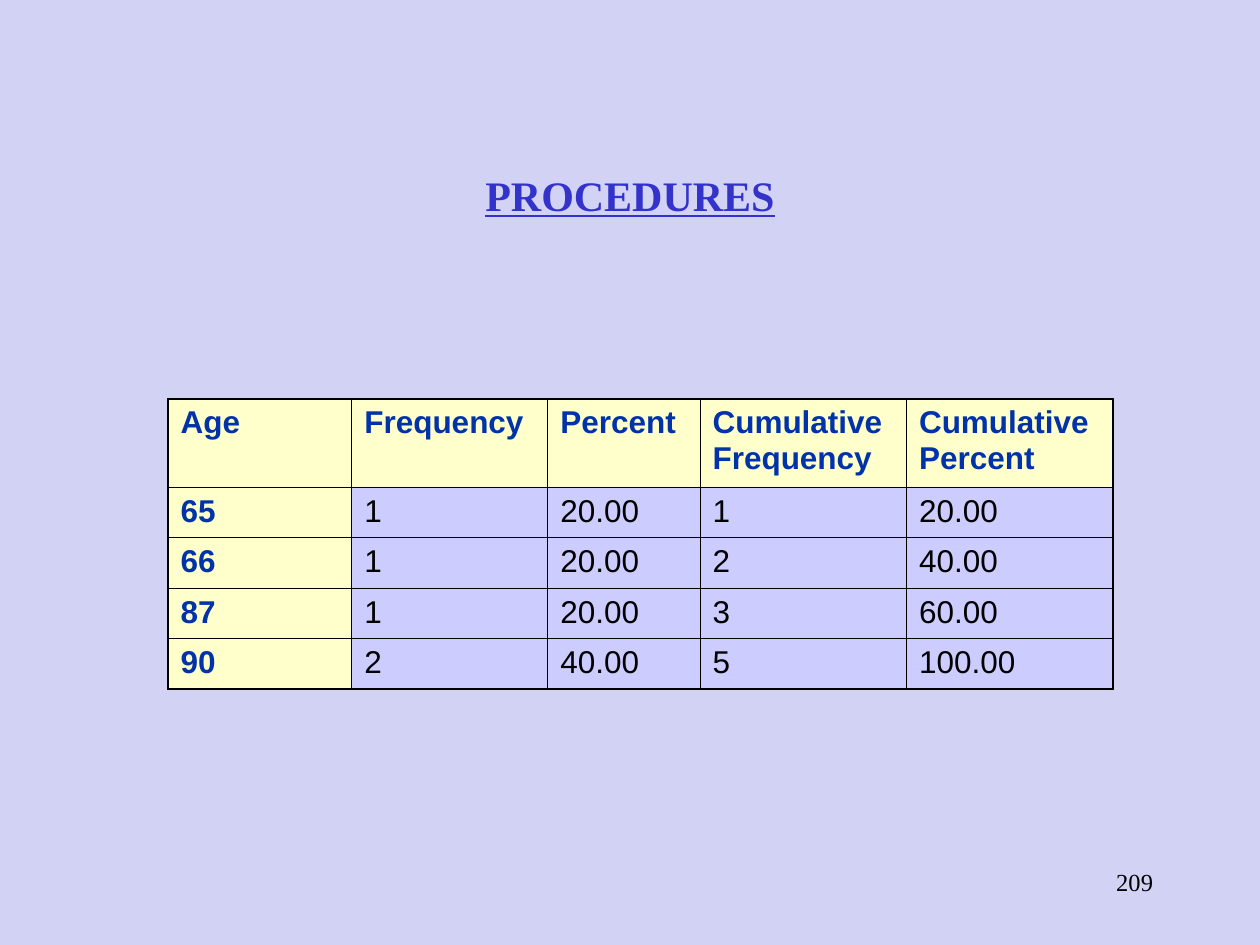
from dataclasses import dataclass

from lxml.etree import SubElement
from pptx import Presentation
from pptx.dml.color import RGBColor
from pptx.enum.text import MSO_ANCHOR, PP_ALIGN
from pptx.oxml.ns import qn
from pptx.util import Pt


@dataclass(frozen=True)
class Theme:
    """Colours, fonts and sizes of the slide."""
    back: str = "D2D2F4"
    title: str = "3333CC"
    head: str = "0033A9"
    ink: str = "000000"
    cream: str = "FFFFCC"
    lilac: str = "CCCCFF"
    serif: str = "Times New Roman"
    sans: str = "Arial"
    big: int = 24
    body: int = 18
    small: int = 14
    thick: float = 1.08
    thin: float = 0.45


THEME = Theme()
WIDTHS = (105, 112, 87, 118, 118)
HEIGHTS = (50.4, 28.8, 28.8, 28.8, 28.8)
ROWS = (
    ("Age", "Frequency", "Percent", "Cumulative\vFrequency", "Cumulative\vPercent"),
    ("65", "1", "20.00", "1", "20.00"),
    ("66", "1", "20.00", "2", "40.00"),
    ("87", "1", "20.00", "3", "60.00"),
    ("90", "2", "40.00", "5", "100.00"),
)


def style(para, face, size, color, bold=False):
    """Set the font of a whole paragraph."""
    font = para.font
    font.name, font.size, font.bold = face, Pt(size), bold
    font.color.rgb = RGBColor.from_string(color)


def add_text(slide, box, text, align, anchor):
    """Add a one-line text box and return its paragraph."""
    frame = slide.shapes.add_textbox(*map(Pt, box)).text_frame
    frame.word_wrap = True
    frame.vertical_anchor = anchor
    para = frame.paragraphs[0]
    para.text, para.alignment = text, align
    return para


def add_title(slide, box):
    """Add the underlined heading."""
    para = add_text(slide, box, "PROCEDURES", PP_ALIGN.CENTER, MSO_ANCHOR.MIDDLE)
    style(para, THEME.serif, THEME.big, THEME.title, True)
    para.font.underline = True


def add_number(slide, box):
    """Add the page number."""
    para = add_text(slide, box, "209", PP_ALIGN.RIGHT, MSO_ANCHOR.TOP)
    style(para, THEME.serif, THEME.small, THEME.ink)


def add_edges(cell, outer):
    """Draw the cell borders, thicker on the sides flagged as outer."""
    props = cell._tc.get_or_add_tcPr()
    for side, thick in zip("LRTB", outer):
        width = Pt(THEME.thick if thick else THEME.thin)
        line = SubElement(props, qn(f"a:ln{side}"), w=str(width))
        fill = SubElement(line, qn("a:solidFill"))
        SubElement(fill, qn("a:srgbClr"), val=THEME.ink)


def add_grid(slide, box):
    """Add the frequency table with its header row and column."""
    last_row, last_col = len(ROWS) - 1, len(WIDTHS) - 1
    table = slide.shapes.add_table(len(ROWS), len(WIDTHS), *map(Pt, box)).table
    table.first_col = True
    table.horz_banding = False
    for col, width in zip(table.columns, WIDTHS):
        col.width = Pt(width)
    for row, height in zip(table.rows, HEIGHTS):
        row.height = Pt(height)
    for i, row in enumerate(ROWS):
        for j, text in enumerate(row):
            cell = table.cell(i, j)
            head = i == 0 or j == 0
            cell.text = text
            style(cell.text_frame.paragraphs[0], THEME.sans, THEME.body,
                  THEME.head if head else THEME.ink, head)
            add_edges(cell, (j == 0, j == last_col, i == 0, i == last_row))
            cell.fill.solid()
            cell.fill.fore_color.rgb = RGBColor.from_string(
                THEME.cream if head else THEME.lilac)


def main():
    """Build and save the slide."""
    deck = Presentation()
    deck.slide_width, deck.slide_height = Pt(720), Pt(540)
    slide = deck.slides.add_slide(deck.slide_layouts[6])
    fill = slide.background.fill
    fill.solid()
    fill.fore_color.rgb = RGBColor.from_string(THEME.back)
    add_number(slide, (516, 492, 150, 36))
    add_title(slide, (54, 84, 612, 54))
    add_grid(slide, (96, 228, sum(WIDTHS), sum(HEIGHTS)))
    deck.save("out.pptx")


if __name__ == "__main__":
    main()
